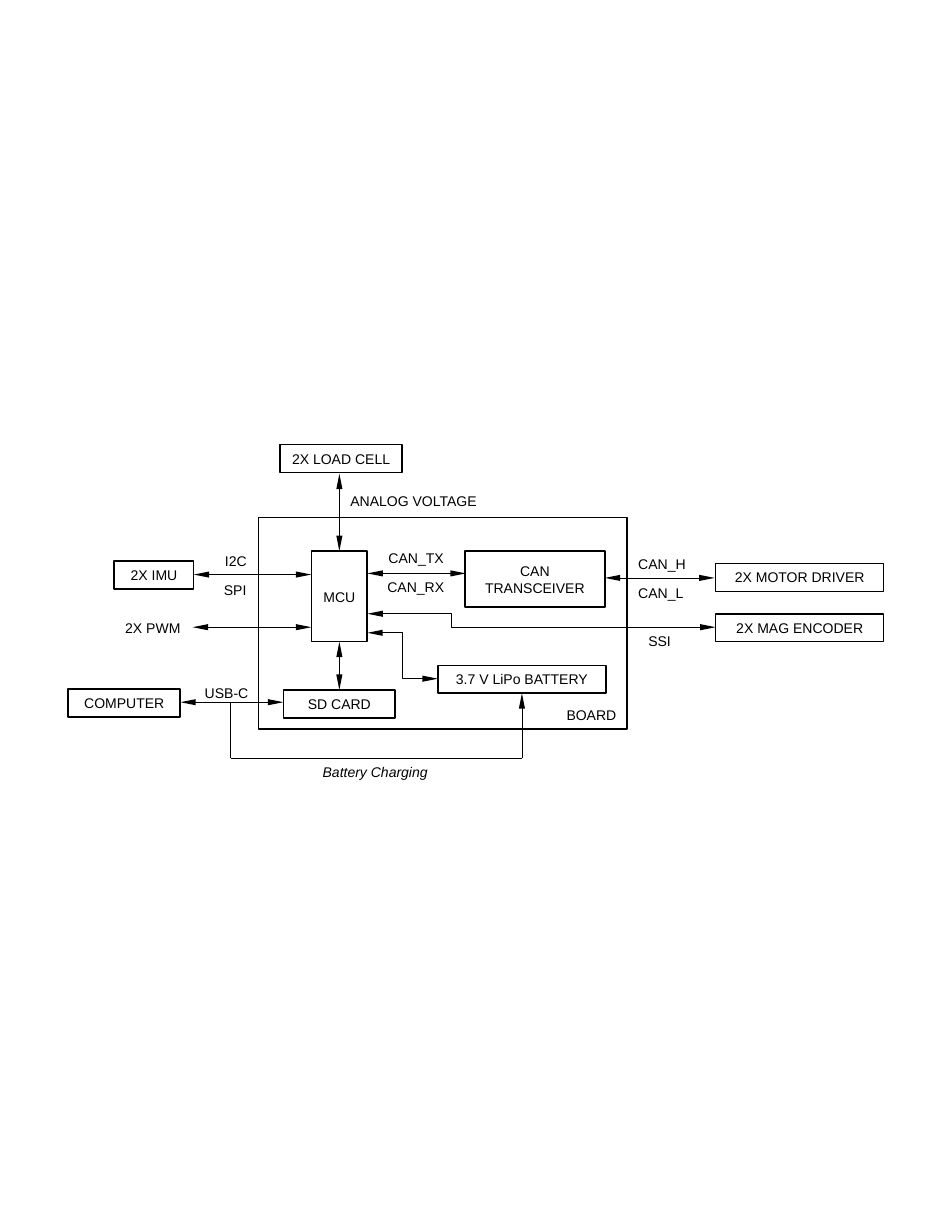
from pptx import Presentation
from pptx.dml.color import RGBColor
from pptx.enum.shapes import MSO_CONNECTOR, MSO_SHAPE
from pptx.enum.text import MSO_ANCHOR, MSO_AUTO_SIZE, PP_ALIGN
from pptx.oxml.ns import qn
from pptx.util import Inches, Pt
from lxml.etree import SubElement


def color(value):
    return RGBColor.from_string(value)


class Diagram:
    """Draws the blocks, labels and links of a block diagram on one slide."""

    font, size, ink = "Arial", 9, "000000"
    block_line, link_line = 1, 0.5
    row_height = 0.25

    def __init__(self, slide):
        self.slide = slide

    def set_text(self, frame, text, align, italic=False):
        frame.text = text
        for paragraph in frame.paragraphs:
            paragraph.alignment = align
            for run in paragraph.runs:
                run.font.name = self.font
                run.font.size = Pt(self.size)
                run.font.italic = italic
                run.font.color.rgb = color(self.ink)

    def block(self, text, left, top, width, height=row_height):
        block = self.slide.shapes.add_shape(
            MSO_SHAPE.RECTANGLE, Inches(left), Inches(top), Inches(width), Inches(height))
        block.shadow.inherit = False
        block.fill.background()
        block.line.color.rgb = color(self.ink)
        block.line.width = Pt(self.block_line)
        if text:
            block.text_frame.vertical_anchor = MSO_ANCHOR.MIDDLE
            self.set_text(block.text_frame, text, PP_ALIGN.CENTER)

    def label(self, text, left, top, width, align=PP_ALIGN.LEFT, italic=False):
        label = self.slide.shapes.add_textbox(
            Inches(left), Inches(top), Inches(width), Inches(self.row_height))
        label.text_frame.word_wrap = False
        label.text_frame.auto_size = MSO_AUTO_SIZE.SHAPE_TO_FIT_TEXT
        self.set_text(label.text_frame, text, align, italic)

    def link(self, start, end, ends=("headEnd", "tailEnd"), bend=None):
        route = MSO_CONNECTOR.STRAIGHT if bend is None else MSO_CONNECTOR.ELBOW
        link = self.slide.shapes.add_connector(
            route, *(Inches(length) for length in (*start, *end)))
        link.line.color.rgb = color(self.ink)
        link.line.width = Pt(self.link_line)
        properties = link._element.spPr
        outline = properties.find(qn("a:ln"))
        for tip in ends:
            SubElement(outline, qn(f"a:{tip}"), type="triangle", w="sm", len="lg")
        SubElement(properties, qn("a:effectLst"))
        if bend is not None:
            guides = properties.find(qn("a:prstGeom")).get_or_add_avLst()
            SubElement(guides, qn("a:gd"), name="adj1", fmla=f"val {round(bend * 100000)}")


def main():
    presentation = Presentation()
    presentation.slide_width = Inches(8.5)
    presentation.slide_height = Inches(11)
    diagram = Diagram(presentation.slides.add_slide(presentation.slide_layouts[6]))

    diagram.block("", 2.31, 4.62, 3.29, 1.89)
    for block in (
        ("MCU", 2.78, 4.92, 0.5, 0.81),
        ("CAN\vTRANSCEIVER", 4.15, 4.92, 1.25, 0.5),
        ("2X LOAD CELL", 2.5, 3.97, 1.09),
        ("2X IMU", 1.02, 5.01, 0.71),
        ("COMPUTER", 0.61, 6.15, 1),
        ("SD CARD", 2.53, 6.16, 1),
        ("3.7 V LiPo BATTERY", 3.91, 5.94, 1.5),
        ("2X MOTOR DRIVER", 6.39, 5.03, 1.5),
        ("2X MAG ENCODER", 6.39, 5.48, 1.5),
    ):
        diagram.block(*block)

    for start, end in (
        ((3.03, 4.23), (3.03, 4.92)),
        ((3.03, 5.73), (3.03, 6.16)),
        ((1.73, 5.13), (2.78, 5.13)),
        ((1.72, 5.6), (2.78, 5.6)),
        ((1.61, 6.27), (2.53, 6.27)),
        ((4.16, 5.12), (3.28, 5.12)),
        ((6.38, 5.16), (5.4, 5.16)),
    ):
        diagram.link(start, end)
    diagram.link((3.28, 5.48), (6.39, 5.6), bend=0.24)
    diagram.link((3.28, 5.65), (3.91, 6.06), bend=0.5)

    usb_tap, left_corner, right_corner, battery = (
        (2.06, 6.27), (2.06, 6.77), (4.66, 6.77), (4.66, 6.19))
    diagram.link(usb_tap, left_corner, ends=())
    diagram.link(left_corner, right_corner, ends=())
    diagram.link(right_corner, battery, ends=("tailEnd",))

    for label in (
        ("ANALOG VOLTAGE", 3.03, 4.35, 1.36),
        ("I2C", 1.91, 4.88, 0.4),
        ("SPI", 1.9, 5.14, 0.41),
        ("2X PWM", 1.02, 5.48, 0.7),
        ("USB-C", 1.73, 6.06, 0.64),
        ("CAN_TX", 3.37, 4.86, 0.7),
        ("CAN_RX", 3.36, 5.12, 0.71),
        ("CAN_H", 5.6, 4.91, 0.63),
        ("CAN_L", 5.6, 5.17, 0.63),
        ("SSI", 5.69, 5.6, 0.41),
        ("BOARD", 4.96, 6.26, 0.65),
    ):
        diagram.label(*label)
    diagram.label("Battery Charging", 2.78, 6.77, 1.14, PP_ALIGN.CENTER, italic=True)

    presentation.save("out.pptx")


if __name__ == "__main__":
    main()
